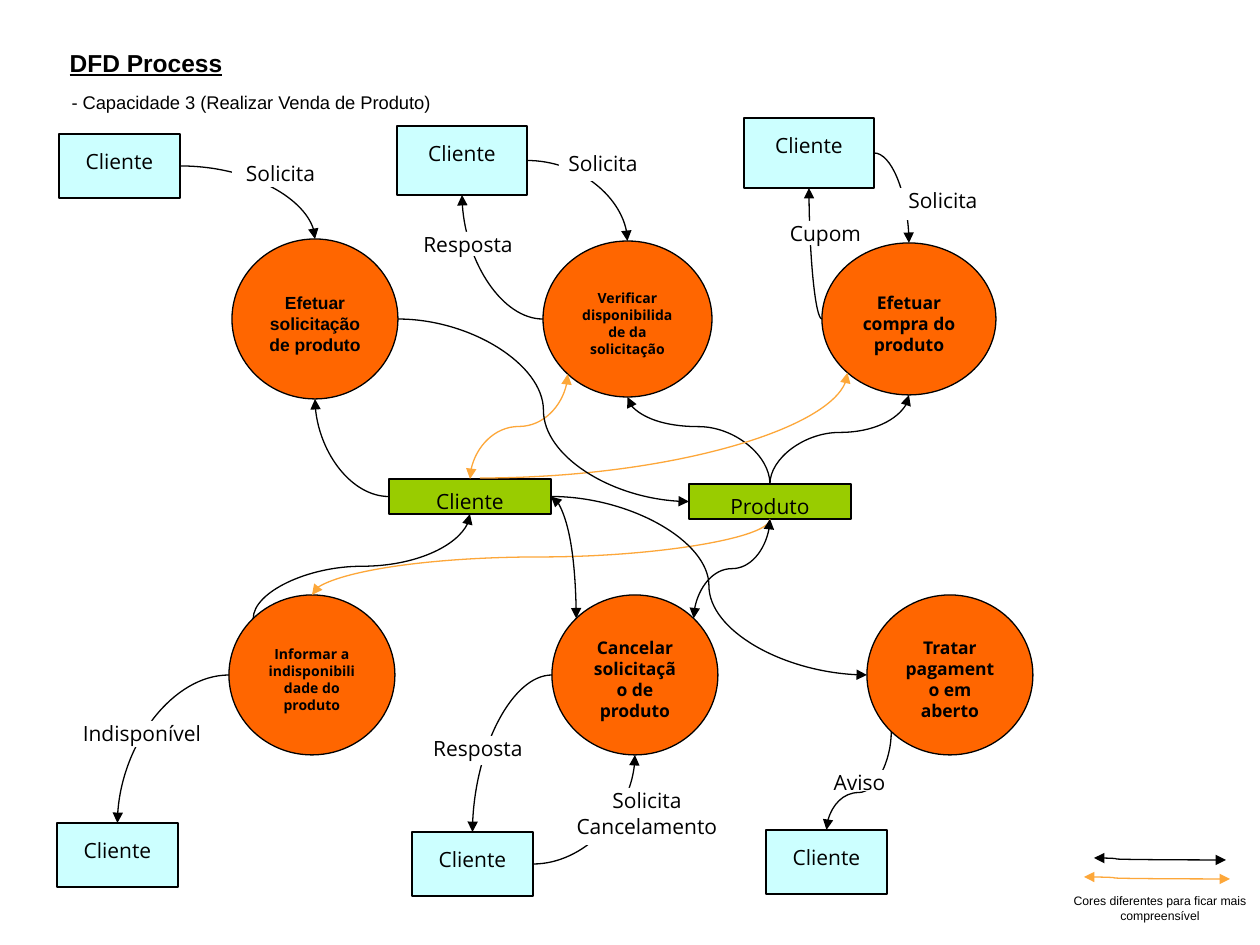
from math import sqrt
from lxml.etree import SubElement
from pptx import Presentation
from pptx.dml.color import RGBColor
from pptx.enum.shapes import MSO_CONNECTOR, MSO_SHAPE
from pptx.enum.text import MSO_ANCHOR, MSO_AUTO_SIZE, PP_ALIGN
from pptx.oxml.ns import qn
from pptx.util import Pt

SCALE = 914400 // 126
COLORS = {"black": "000000", "white": "FFFFFF", "client": "CCFFFF",
          "store": "99CC00", "process": "FF6600", "orange": "FDA739"}

# Content: boxes are left, top, width, height in pixels
TITLE = ("DFD Process", (57, 35, 790, 44))
SUBTITLE = ("- Capacidade 3 (Realizar Venda de Produto)", (59, 79, 421, 53))
LEGEND = ("Cores diferentes para ficar mais compreensível", (1061, 887, 198, 43))

NODES = {  # key: kind, text, box, size, font
    "client_request": ("client", "Cliente", (59, 134, 121, 64), 12, "Open Sans"),
    "client_check": ("client", "Cliente", (397, 126, 130, 69), 12, "Open Sans"),
    "client_buy": ("client", "Cliente", (744, 118, 130, 70), 12, "Open Sans"),
    "client_inform": ("client", "Cliente", (57, 823, 121, 64), 12, "Open Sans"),
    "client_cancel": ("client", "Cliente", (412, 832, 121, 64), 12, "Open Sans"),
    "client_pay": ("client", "Cliente", (766, 830, 121, 64), 12, "Open Sans"),
    "clients": ("store", "Cliente", (389, 479, 162, 35), 12, "Open Sans"),
    "products": ("store", "Produto", (689, 484, 162, 35), 12, "Open Sans"),
    "request": ("process", "Efetuar solicitação de produto", (232, 239, 166, 160), 10, "Arial"),
    "check": ("process", "Verificar disponibilidade da solicitação", (543, 241, 169, 156), 8, "Open Sans"),
    "buy": ("process", "Efetuar compra do produto", (822, 243, 174, 152), 10, "Open Sans"),
    "inform": ("process", "Informar a indisponibilidade do produto", (229, 595, 166, 160), 8, "Open Sans"),
    "cancel": ("process", "Cancelar solicitação de produto", (552, 595, 166, 160), 10, "Open Sans"),
    "pay": ("process", "Tratar pagamento em aberto", (867, 595, 166, 160), 10, "Open Sans"),
}

# Start, end, colour, two heads, bend; a two-bend curve has a bend fraction
LINKS = [
    (("client_request", "right"), ("request", "top"), "black", False, None),
    (("client_check", "right"), ("check", "top"), "black", False, None),
    (("check", "left"), ("client_check", "bottom"), "black", False, None),
    (("products", "top"), ("check", "bottom"), "black", False, 0.66),
    (("client_buy", "right"), ("buy", "top"), "black", False, None),
    (("buy", "left"), ("client_buy", "bottom"), "black", False, None),
    ((480, 478), ("buy", "bottom_left"), "orange", False, None),
    (("products", "top"), ("buy", "bottom"), "black", False, 0.58),
    (("products", "bottom"), ("inform", "top"), "orange", False, 0.5),
    (("inform", "top_left"), ("clients", "bottom"), "black", False, 0.5),
    (("clients", "right"), ("cancel", "top_left"), "black", True, None),
    (("products", "bottom"), ("cancel", "top_right"), "black", True, 0.5),
    (("client_cancel", "right"), ("cancel", "bottom"), "black", False, None),
    (("cancel", "left"), ("client_cancel", "top"), "black", False, None),
    (("inform", "left"), ("client_inform", "top"), "black", False, None),
    (("check", "bottom_left"), ("clients", "top"), "orange", True, 0.5),
    (("clients", "left"), ("request", "bottom"), "black", False, None),
    (("request", "right"), ("products", "left"), "black", False, 0.5),
    (("clients", "right"), ("pay", "left"), "black", False, 0.5),
    (("pay", "bottom_left"), ("client_pay", "top"), "black", False, 0.62),
    ((1094, 858), (1226, 860), "black", True, 0.17),
    ((1084, 877), (1230, 879), "orange", True, 0.21),
]

LABELS = [
    ("Solicita", (232, 161, 97, 26)), ("Solicita", (559, 151, 88, 30)),
    ("Resposta", (420, 232, 96, 24)), ("Solicita", (885, 188, 116, 32)),
    ("Cupom", (770, 221, 111, 24)), ("Indisponível", (71, 721, 142, 26)),
    ("Solicita Cancelamento", (572, 788, 150, 57)),
    ("Resposta", (407, 736, 142, 29)), ("Aviso", (804, 770, 111, 21)),
]

# Connection sites: offsets from the centre as a share of half the size
DIAGONAL = 1 / sqrt(2)
SITES = {"top": (0, -1), "left": (-1, 0), "bottom": (0, 1), "right": (1, 0),
         "top_left": (-DIAGONAL, -DIAGONAL), "top_right": (DIAGONAL, -DIAGONAL),
         "bottom_left": (-DIAGONAL, DIAGONAL)}
RECT_SITES = ["top", "left", "bottom", "right"]
ELLIPSE_SITES = ["top", "top_left", "left", "bottom_left", "bottom",
                 "bottom_right", "right", "top_right"]


def px(value):
    return round(value * SCALE)


def color(name):
    return RGBColor.from_string(COLORS[name])


def write(shape, text, size, font, align=PP_ALIGN.CENTER, bold=False,
          underline=False, insets=(0, 0, 0, 0), anchor=MSO_ANCHOR.TOP):
    frame = shape.text_frame
    frame.word_wrap, frame.auto_size = True, MSO_AUTO_SIZE.NONE
    frame.vertical_anchor = anchor
    (frame.margin_left, frame.margin_top,
     frame.margin_right, frame.margin_bottom) = [px(inset) for inset in insets]
    paragraph = frame.paragraphs[0]
    paragraph.alignment = align
    run = paragraph.add_run()
    run.text = text
    run.font.size, run.font.name = Pt(size), font
    run.font.bold, run.font.underline = bold, underline
    run.font.color.rgb = color("black")


def add_box(preset, box, fill, line=None):
    shape = slide.shapes.add_shape(preset, *map(px, box))
    shape.shadow.inherit = False
    shape.fill.solid()
    shape.fill.fore_color.rgb = color(fill)
    if line:
        shape.line.color.rgb = color(line)
        shape.line.width = Pt(0.75)
    else:
        shape.line.fill.background()
    return shape


def locate(end):
    if end[0] not in NODES:
        return end
    left, top, width, height = NODES[end[0]][2]
    across, down = SITES[end[1]]
    return left + width / 2 * (1 + across), top + height / 2 * (1 + down)


def add_link(start, end, line_color, two_heads, bend):
    (x1, y1), (x2, y2) = locate(start), locate(end)
    connector = slide.shapes.add_connector(
        MSO_CONNECTOR.CURVE, px(x1), px(y1), px(x2), px(y2))
    connector.line.color.rgb = color(line_color)
    connector.line.width = Pt(0.75)

    # Turn and flip so that the curve leaves its start in the right direction
    leftward, upward = x2 < x1, y2 < y1
    width, height = abs(x2 - x1), abs(y2 - y1)
    if bend and start[1] in SITES and start[1] not in ("left", "right"):
        rotation, flip = (90, upward) if leftward else (270, not upward)
        width, height = height, width
    else:
        rotation, flip = 180 if upward else 0, leftward != upward
    connector.left = px((x1 + x2 - width) / 2)
    connector.top = px((y1 + y2 - height) / 2)
    connector.width, connector.height = px(width), px(height)
    properties = connector._element.spPr
    transform = properties.find(qn("a:xfrm"))
    transform.set("rot", str(rotation * 60000))
    transform.set("flipH", str(int(flip)))
    transform.set("flipV", "0")

    # Curve type and bend
    geometry = properties.find(qn("a:prstGeom"))
    geometry.set("prst", "curvedConnector3" if bend else "curvedConnector2")
    if bend:
        SubElement(geometry.find(qn("a:avLst")), qn("a:gd"), name="adj1",
                   fmla=f"val {round(bend * 100000)}")

    # Arrowheads, no shadow, glue
    line = properties.find(qn("a:ln"))
    for tag in ["a:headEnd"] * two_heads + ["a:tailEnd"]:
        SubElement(line, qn(tag), type="triangle")
    SubElement(properties, qn("a:effectLst"))
    glue = connector._element.nvCxnSpPr.cNvCxnSpPr
    for tag, target in (("a:stCxn", start), ("a:endCxn", end)):
        if target[0] in NODES:
            process = NODES[target[0]][0] == "process"
            sites = ELLIPSE_SITES if process else RECT_SITES
            SubElement(glue, qn(tag), id=str(shapes[target[0]].shape_id),
                       idx=str(sites.index(target[1])))


presentation = Presentation()
presentation.slide_width, presentation.slide_height = px(1260), px(945)
slide = presentation.slides.add_slide(presentation.slide_layouts[5])

# Title, subtitle and legend text
title = slide.shapes.title
title.left, title.top, title.width, title.height = map(px, TITLE[1])
write(title, TITLE[0], 14, "Arial", PP_ALIGN.LEFT, True, True, (12.6,) * 4)
subtitle = slide.shapes.add_textbox(*map(px, SUBTITLE[1]))
write(subtitle, SUBTITLE[0], 10.5, "Arial", PP_ALIGN.LEFT, insets=(12.6,) * 4)
legend = slide.shapes.add_textbox(*map(px, LEGEND[1]))
write(legend, LEGEND[0], 7, "Arial", insets=(12.6, 6.3, 12.6, 6.3))

# Clients, stores and processes
shapes = {}
for key, (kind, text, box, size, font) in NODES.items():
    process = kind == "process"
    shapes[key] = add_box(MSO_SHAPE.OVAL if process else MSO_SHAPE.RECTANGLE,
                          box, kind, "black")
    write(shapes[key], text, size, font, bold=process,
          insets=(12.6, 10 if kind == "store" else 15, 12.6, 6.3),
          anchor=MSO_ANCHOR.MIDDLE if process else MSO_ANCHOR.TOP)

# Flows and their labels
for link in LINKS:
    add_link(*link)
for text, box in LABELS:
    write(add_box(MSO_SHAPE.RECTANGLE, box, "white"), text, 12, "Open Sans")

presentation.save("out.pptx")
